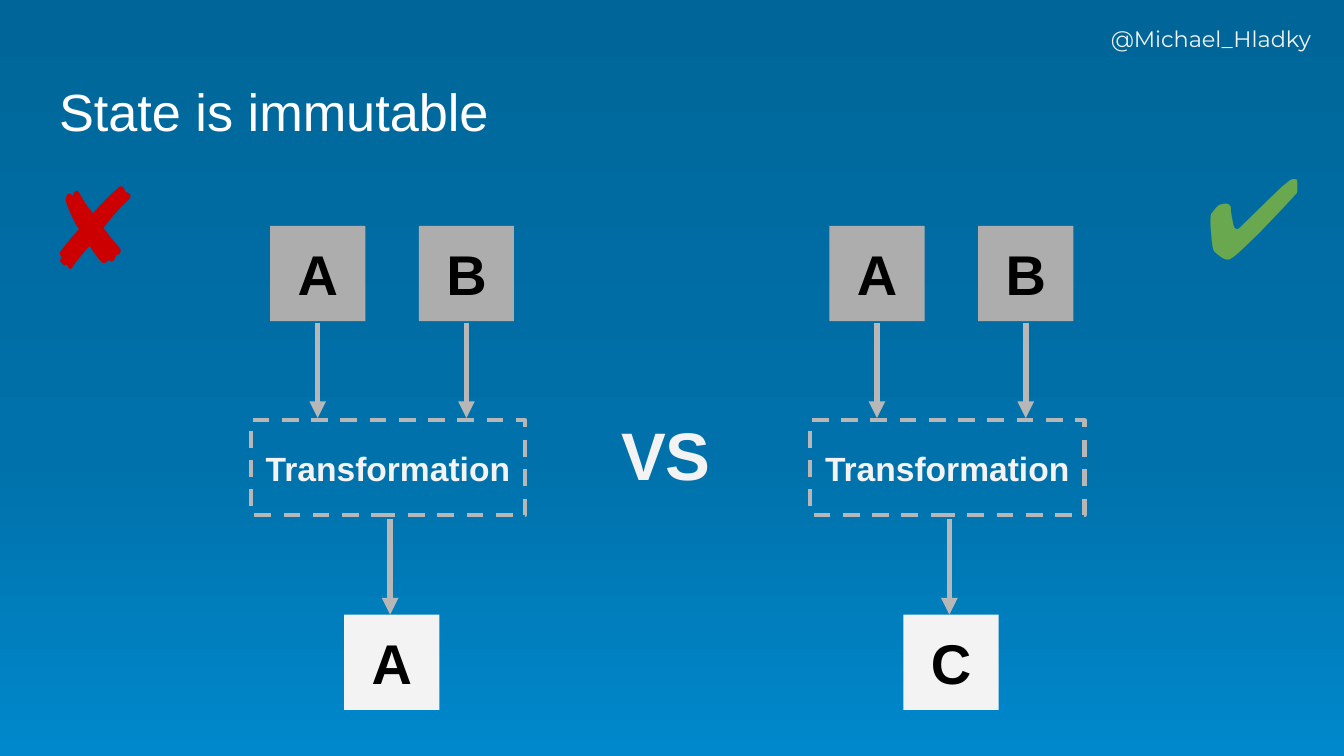
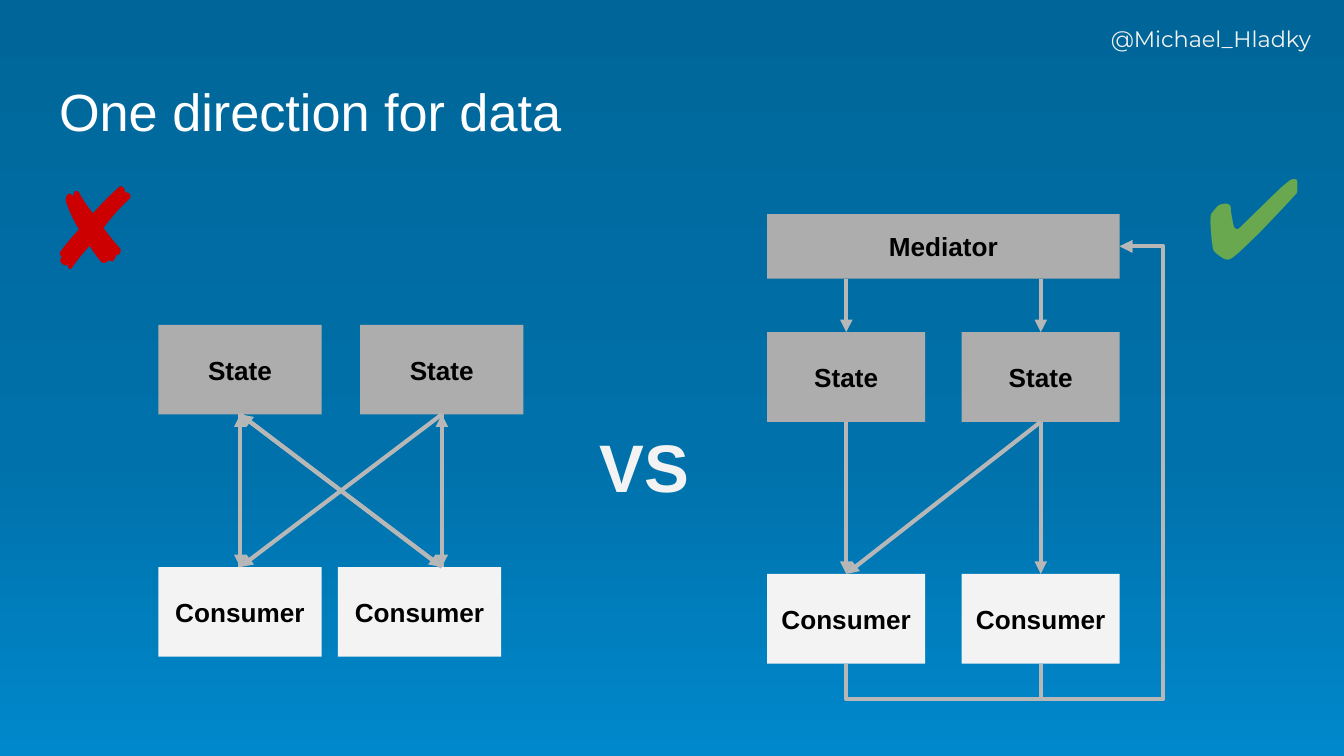
"""Build two slides comparing wrong and right ways to handle state."""
import copy

import lxml.etree
import pptx
import pptx.dml.color
import pptx.enum.dml
import pptx.enum.shapes
import pptx.enum.text
import pptx.oxml.ns
import pptx.util

Pt = pptx.util.Pt
qn = pptx.oxml.ns.qn
ALIGN = pptx.enum.text.PP_ALIGN
ANCHOR = pptx.enum.text.MSO_ANCHOR
CONNECTOR = pptx.enum.shapes.MSO_CONNECTOR

COLORS = {
    "sky_top": "006699",
    "sky_middle": "0071AA",
    "sky_bottom": "0088CC",
    "title": "FFFFFF",
    "light": "F3F3F3",
    "gray": "ADADAD",
    "line": "B7B7B7",
    "ink": "000000",
    "wrong": "CC0000",
    "right": "6AA84F",
}
SKY_STOPS = [(0, "sky_top"), (0.6, "sky_middle"), (1, "sky_bottom")]
INSET = 7.2


def rgb(name):
    return pptx.dml.color.RGBColor.from_string(COLORS[name])


def paint_background(deck):
    master = deck.slide_master
    fill = master.background.fill
    fill.gradient()
    fill.gradient_angle = 270
    stop_list = master.element.xpath("./p:cSld/p:bg//a:gsLst")[0]
    for extra in stop_list[1:]:
        stop_list.remove(extra)
    for _ in SKY_STOPS[1:]:
        stop_list.append(copy.deepcopy(stop_list[0]))
    for stop, (position, color) in zip(fill.gradient_stops, SKY_STOPS):
        stop.position = position
        stop.color.rgb = rgb(color)


def write(shape, text, size, color, bold=False, font="Arial",
          align=ALIGN.CENTER, anchor=ANCHOR.MIDDLE):
    frame = shape.text_frame
    frame.word_wrap = True
    frame.auto_size = pptx.enum.text.MSO_AUTO_SIZE.NONE
    frame.vertical_anchor = anchor
    frame.margin_left = frame.margin_right = Pt(INSET)
    frame.margin_top = frame.margin_bottom = Pt(INSET)
    frame.text = text
    paragraph = frame.paragraphs[0]
    paragraph.alignment = align
    paragraph.font.name = font
    paragraph.font.size = Pt(size)
    paragraph.font.bold = bold
    paragraph.font.color.rgb = rgb(color)


def add_text(slide, place, text, size, color, **style):
    box = slide.shapes.add_textbox(*map(Pt, place))
    write(box, text, size, color, **style)


def add_box(slide, place, text, size, fill):
    box = slide.shapes.add_shape(
        pptx.enum.shapes.MSO_SHAPE.RECTANGLE, *map(Pt, place))
    box.shadow.inherit = False
    if fill:
        box.fill.solid()
        box.fill.fore_color.rgb = rgb(fill)
        box.line.fill.background()
    else:
        box.fill.background()
        box.line.color.rgb = rgb("line")
        box.line.width = Pt(2.25)
        box.line.dash_style = pptx.enum.dml.MSO_LINE.DASH
    write(box, text, size, "ink" if fill else "light", bold=True)


def add_arrow(slide, start, end, width=2.25, kind=CONNECTOR.STRAIGHT):
    arrow = slide.shapes.add_connector(kind, *map(Pt, (*start, *end)))
    arrow.line.color.rgb = rgb("line")
    arrow.line.width = Pt(width)
    properties = arrow.element.spPr
    outline = properties.find(qn("a:ln"))
    lxml.etree.SubElement(outline, qn("a:tailEnd"), type="triangle")
    lxml.etree.SubElement(properties, qn("a:effectLst"))
    return arrow


def add_return_arrow(slide, start, end, floor, lane):
    """Run from start down to floor, right to lane, up and back left to end."""
    across, rise = end[0] - start[0], start[1] - end[1]
    arrow = add_arrow(slide, start, end, kind=CONNECTOR.ELBOW)
    arrow.left = Pt((start[0] + end[0] - rise) / 2)
    arrow.top = Pt((start[1] + end[1] - across) / 2)
    arrow.width, arrow.height = Pt(rise), Pt(across)
    frame = arrow.element.spPr.find(qn("a:xfrm"))
    frame.attrib.pop("flipV", None)
    frame.set("rot", str(270 * 60000))
    geometry = arrow.element.spPr.find(qn("a:prstGeom"))
    geometry.set("prst", "bentConnector4")
    guides = geometry.find(qn("a:avLst"))
    bends = [(start[1] - floor) / rise, (lane - start[0]) / across]
    for number, bend in enumerate(bends, 1):
        lxml.etree.SubElement(guides, qn("a:gd"), name=f"adj{number}",
                              fmla=f"val {round(bend * 100000)}")


def add_comparison_slide(deck, title, versus_left, versus_top):
    slide = deck.slides.add_slide(deck.slide_layouts.get_by_name("Title Only"))
    heading = slide.shapes.title
    heading.left, heading.top = Pt(24.5), Pt(35.3)
    heading.width, heading.height = Pt(671), Pt(45.4)
    write(heading, title, 28, "title", align=ALIGN.LEFT, anchor=ANCHOR.TOP)
    add_text(slide, (588, 6, 122.5, 32.4), "@Michael_Hladky", 12, "light",
             font="Montserrat", align=ALIGN.LEFT, anchor=ANCHOR.TOP)
    add_text(slide, (versus_left, versus_top, 74, 47), "VS", 36, "light",
             bold=True, anchor=ANCHOR.TOP)
    add_text(slide, (18, 94.3, 53.3, 52.6), "✘", 60, "wrong",
             align=ALIGN.LEFT)
    add_text(slide, (638.6, 84.2, 46.8, 60.5), "✔", 60, "right",
             font="Calibri", align=ALIGN.LEFT)
    return slide


def add_transformation(slide, left, result):
    side, inputs_top, step_top, result_top = 51, 121, 225, 329.3
    for name, offset in (("A", 10.3), ("B", 90)):
        add_box(slide, (left + offset, inputs_top, side, side), name, 30,
                "gray")
        center = left + offset + side / 2
        add_arrow(slide, (center, 172.8), (center, 224), width=3)
    add_box(slide, (left, step_top, 147, side), "Transformation", 18, None)
    add_box(slide, (left + 50, result_top, side, side), result, 30, "light")
    center = left + 74.6
    add_arrow(slide, (center, 278), (center, result_top), width=3)


def add_row(slide, lefts, top, width, text, fill):
    for left in lefts:
        add_box(slide, (left, top, width, 48), text, 14, fill)


def add_tangled_flow(slide):
    width, state_top, consumer_top = 87.6, 174, 303.8
    add_row(slide, (84.8, 192.9), state_top, width, "State", "gray")
    add_row(slide, (84.8, 181), consumer_top, width, "Consumer", "light")
    states = [(x, state_top + 48) for x in (128.7, 236.7)]
    consumers = [(x, consumer_top) for x, _ in states]
    for state, consumer in zip(states, consumers):
        add_arrow(slide, state, consumer)
        add_arrow(slide, consumer, state)
    add_arrow(slide, states[0], consumers[1])
    add_arrow(slide, consumers[1], states[0])
    add_arrow(slide, states[1], consumers[0])


def add_mediated_flow(slide):
    width, state_top, consumer_top = 84.7, 178, 307.5
    lefts = (411, 515.2)
    centers = [left + width / 2 for left in lefts]
    mediator_top, mediator_height = 114.7, 34.6
    right = lefts[1] + width
    entry = (right, mediator_top + mediator_height / 2)
    add_box(slide, (lefts[0], mediator_top, right - lefts[0],
                    mediator_height), "Mediator", 14, "gray")
    add_row(slide, lefts, state_top, width, "State", "gray")
    add_row(slide, lefts, consumer_top, width, "Consumer", "light")
    for center in centers:
        add_arrow(slide, (center, mediator_top + mediator_height),
                  (center, state_top))
        add_arrow(slide, (center, state_top + 48), (center, consumer_top))
        add_return_arrow(slide, (center, consumer_top + 48), entry,
                         floor=374.4, lane=623)
    add_arrow(slide, (centers[1], state_top + 48), (centers[0], consumer_top))


def main():
    deck = pptx.Presentation()
    deck.slide_width, deck.slide_height = Pt(720), Pt(405)
    paint_background(deck)

    immutable = add_comparison_slide(deck, "State is immutable", 319.7, 214.5)
    add_transformation(immutable, 134.4, "A")
    add_transformation(immutable, 434, "C")

    one_way = add_comparison_slide(deck, "One direction for data", 308, 220.5)
    add_tangled_flow(one_way)
    add_mediated_flow(one_way)

    deck.save("out.pptx")


if __name__ == "__main__":
    main()
